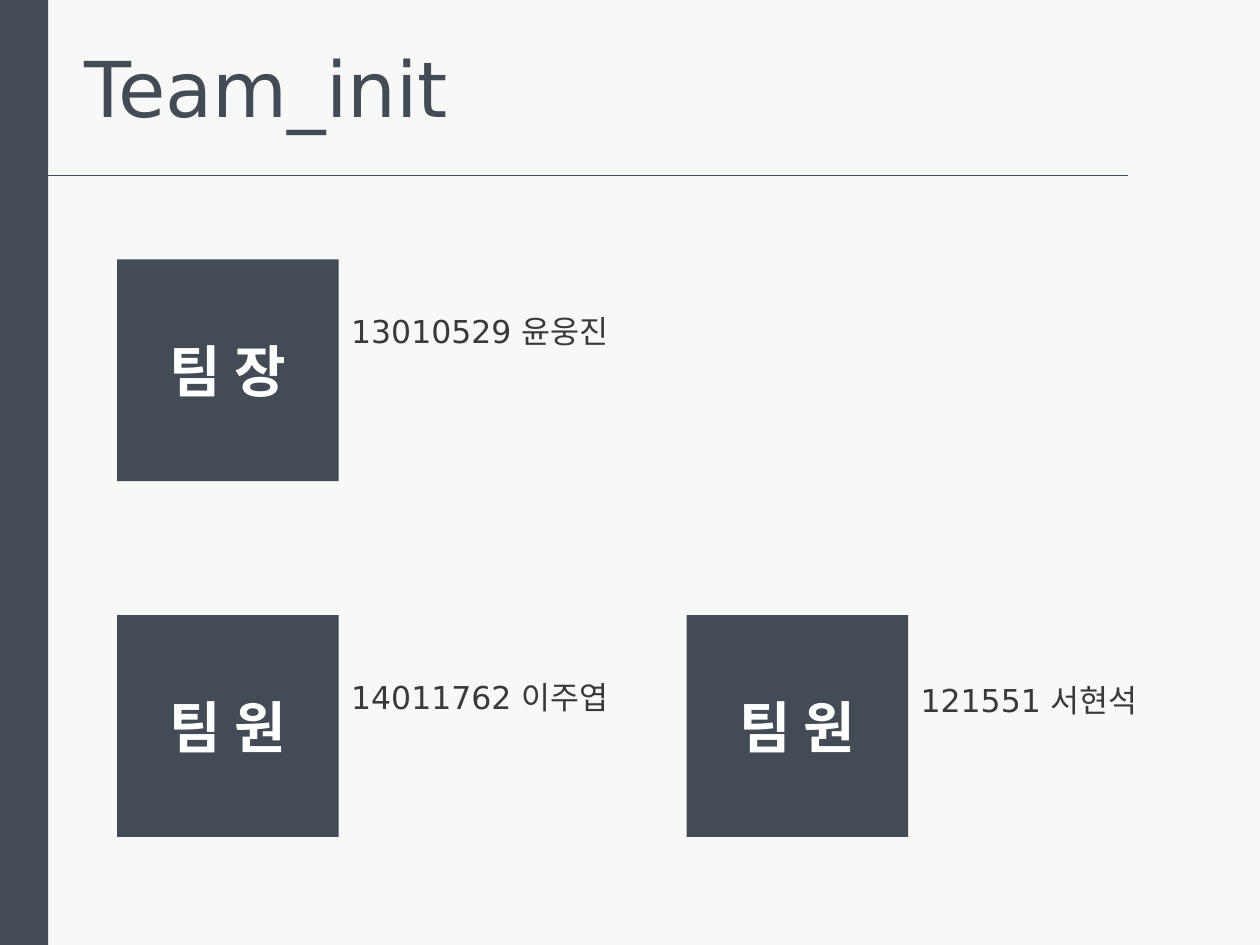
from lxml import etree
from pptx import Presentation, util as u
from pptx.dml.color import RGBColor
from pptx.enum import shapes, text
from pptx.oxml.ns import qn

HUES = {"back": "F8F8F6", "slate": "434B56", "white": "FFFFFF", "ink": "3A3838"}
FONT = "DejaVu Sans"
SIDE = 4.47  # edge of a role tile

# role, tile left, tile top, member, label top, label width
TEAM = [
    ("팀 장", 2.36, 5.23, "13010529 윤웅진", 6.17, 6.15),
    ("팀 원", 2.36, 12.4, "14011762 이주엽", 13.54, 6.15),
    ("팀 원", 13.84, 12.4, "121551 서현석", 13.61, 5.56),
]


def hue(name):
    return RGBColor.from_string(HUES[name])


def write(frame, words, size, color, align=text.PP_ALIGN.LEFT, bold=False):
    para = frame.paragraphs[0]
    para.alignment = align
    run = para.add_run()
    run.text = words
    font = run.font
    font.name, font.size, font.bold = FONT, u.Pt(size), bold
    font.color.rgb = hue(color)


def block(slide, left, top, width, height):
    box = slide.shapes.add_shape(
        shapes.MSO_SHAPE.RECTANGLE, u.Cm(left), u.Cm(top), u.Cm(width), u.Cm(height))
    box.shadow.inherit = False
    box.fill.solid()
    box.fill.fore_color.rgb = hue("slate")
    box.line.fill.background()
    return box


def rule(slide, left, right, top):
    line = slide.shapes.add_connector(
        shapes.MSO_CONNECTOR.STRAIGHT, u.Cm(left), u.Cm(top), u.Cm(right), u.Cm(top))
    line.line.color.rgb = hue("slate")
    line.line.width = u.Pt(0.5)
    etree.SubElement(line._element.spPr, qn("a:effectLst"))


def head(slide, words):
    title = slide.shapes.title
    title.left, title.top = u.Cm(1.45), u.Cm(0.69)
    title.width, title.height = u.Cm(8.18), u.Cm(2.13)
    frame = title.text_frame
    frame.word_wrap = False
    frame.auto_size = text.MSO_AUTO_SIZE.SHAPE_TO_FIT_TEXT
    frame.vertical_anchor = text.MSO_ANCHOR.TOP
    write(frame, words, 44, "slate")


def tile(slide, role, left, top):
    frame = block(slide, left, top, SIDE, SIDE).text_frame
    frame.vertical_anchor = text.MSO_ANCHOR.MIDDLE
    write(frame, role, 32, "white", text.PP_ALIGN.CENTER, True)


def label(slide, words, left, top, width):
    box = slide.shapes.add_textbox(u.Cm(left), u.Cm(top), u.Cm(width), u.Cm(1.02))
    frame = box.text_frame
    frame.word_wrap = True
    frame.auto_size = text.MSO_AUTO_SIZE.SHAPE_TO_FIT_TEXT
    write(frame, words, 18, "ink")


def main():
    deck = Presentation()
    deck.slide_width, deck.slide_height = u.Cm(25.4), u.Cm(19.05)
    slide = deck.slides.add_slide(deck.slide_layouts[5])
    slide.background.fill.solid()
    slide.background.fill.fore_color.rgb = hue("back")

    # Side bar, rule and title
    block(slide, 0, 0, 0.97, 19.05)
    rule(slide, 0.97, 22.73, 3.53)
    head(slide, "Team_init")

    # Role tiles, each with its member on the right
    for role, left, top, member, line, width in TEAM:
        tile(slide, role, left, top)
        label(slide, member, left + SIDE, line, width)

    deck.save("out.pptx")


if __name__ == "__main__":
    main()
